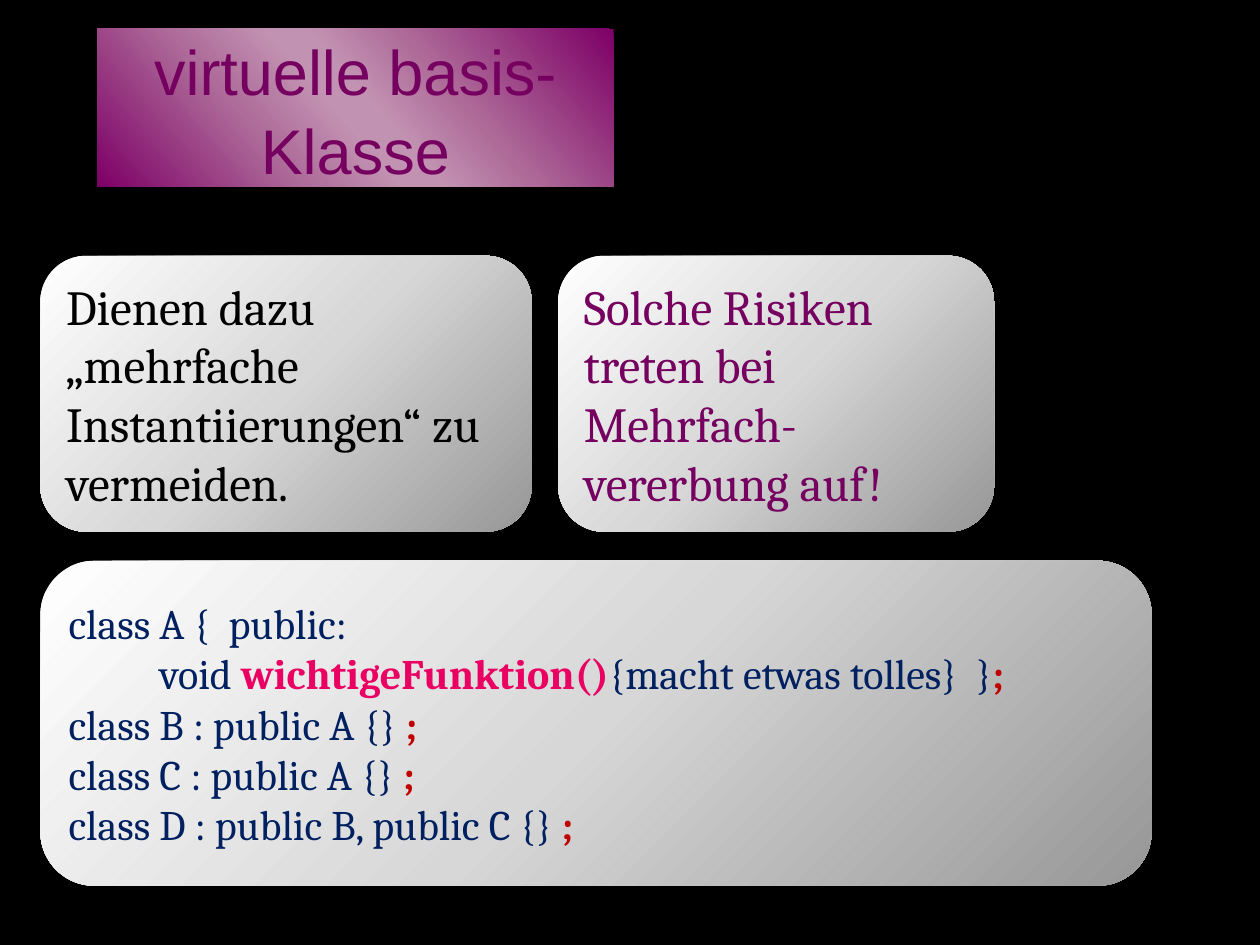
from lxml import etree
from pptx import Presentation
from pptx.dml.color import RGBColor
from pptx.enum.shapes import MSO_SHAPE as SHAPE
from pptx.enum.text import MSO_ANCHOR as ANCHOR, MSO_AUTO_SIZE as AUTO, PP_ALIGN as ALIGN
from pptx.oxml.ns import qn
from pptx.util import Inches, Pt

# Content: each paragraph is a list of (text, style) runs
STYLES = {
    "title": {"name": "Arial", "size": Pt(36), "color": "75005F"},
    "plain": {"name": "Cambria", "size": Pt(28), "color": "000000"},
    "risk": {"name": "Cambria", "size": Pt(28), "color": "75005F"},
    "code": {"name": "Cambria", "size": Pt(24), "color": "002060"},
    "func": {"name": "Cambria", "size": Pt(24), "color": "E90062", "bold": True},
    "end": {"name": "Cambria", "size": Pt(24), "color": "C00000", "bold": True},
}
TITLE = [[("virtuelle basis-Klasse", "title")]]
PURPOSE = [[("Dienen dazu „mehrfache Instantiierungen“ zu vermeiden.", "plain")]]
RISK = [[("Solche Risiken treten bei Mehrfach-vererbung auf!", "risk")]]
DERIVED = ["class B : public A {}", "class C : public A {}", "class D : public B, public C {}"]
CODE = [
    [("class A {  public:", "code")],
    [("\t   void ", "code"), ("wichtigeFunktion()", "func"),
     ("{macht etwas tolles}  }", "code"), (";", "end")],
] + [[(line, "code"), (" ;", "end")] for line in DERIVED]

PURPLE = [(0, "7D0066"), (33, "AE6B99"), (47, "C292B2"),
          (53, "C292B2"), (68, "AE6C9A"), (100, "7D0066")]
SILVER = [(0, "979797"), (50, "D7D7D7"), (100, "FFFFFF")]

# Layout: left, top, width, height
TITLE_AT = (0.77, 0.23, 4.1, 1.25)
LEFT, ROW_TOP, ROW_H = 0.32, 2.03, 2.19
PANELS = [
    ((LEFT, ROW_TOP, 3.9, ROW_H), PURPOSE),
    ((4.43, ROW_TOP, 3.46, ROW_H), RISK),
    ((LEFT, 4.45, 8.82, 2.58), CODE),
]


def rgb(value):
    return RGBColor.from_string(value)


def sub(parent, tag, **attrs):
    return etree.SubElement(parent, qn(tag), {k: str(v) for k, v in attrs.items()})


def place(sp, at):
    sp.left, sp.top, sp.width, sp.height = map(Inches, at)


def paint(sp, stops, angle=None):
    """Rounded outline with a linear gradient, or one radiating from bottom right."""
    pr = sp.element.spPr
    for child in list(pr):
        if child.tag != qn("a:xfrm"):
            pr.remove(child)
    sub(sub(pr, "a:prstGeom", prst="roundRect"), "a:avLst")
    grad = sub(pr, "a:gradFill", rotWithShape=1)
    gs_list = sub(grad, "a:gsLst")
    for pos, color in stops:
        sub(sub(gs_list, "a:gs", pos=pos * 1000), "a:srgbClr", val=color)
    if angle is None:
        sub(sub(grad, "a:path", path="circle"), "a:fillToRect", l=100000, t=100000)
    else:
        sub(grad, "a:lin", ang=angle * 60000, scaled=0)
    sp.line.fill.background()
    sp.shadow.inherit = False


def write(sp, paragraphs, align, spacing=None):
    tf = sp.text_frame
    tf.word_wrap, tf.auto_size, tf.vertical_anchor = True, AUTO.NONE, ANCHOR.MIDDLE
    for i, runs in enumerate(paragraphs):
        p = tf.add_paragraph() if i else tf.paragraphs[0]
        p.alignment, p.line_spacing = align, spacing
        for text, style in runs:
            r = p.add_run()
            r.text = text
            for key, value in STYLES[style].items():
                if key == "color":
                    r.font.color.rgb = rgb(value)
                else:
                    setattr(r.font, key, value)


prs = Presentation()
prs.slide_width, prs.slide_height = Inches(10), Inches(7.5)
s = prs.slides.add_slide(prs.slide_layouts[5])
s.background.fill.solid()
s.background.fill.fore_color.rgb = rgb("000000")

# Title
title = s.shapes.title
place(title, TITLE_AT)
paint(title, PURPLE, angle=139)
write(title, TITLE, ALIGN.CENTER, 1.05)

# Text and code panels
for at, paragraphs in PANELS:
    sp = s.shapes.add_shape(SHAPE.ROUNDED_RECTANGLE, *map(Inches, at))
    paint(sp, SILVER)
    write(sp, paragraphs, ALIGN.LEFT)

prs.save("out.pptx")
